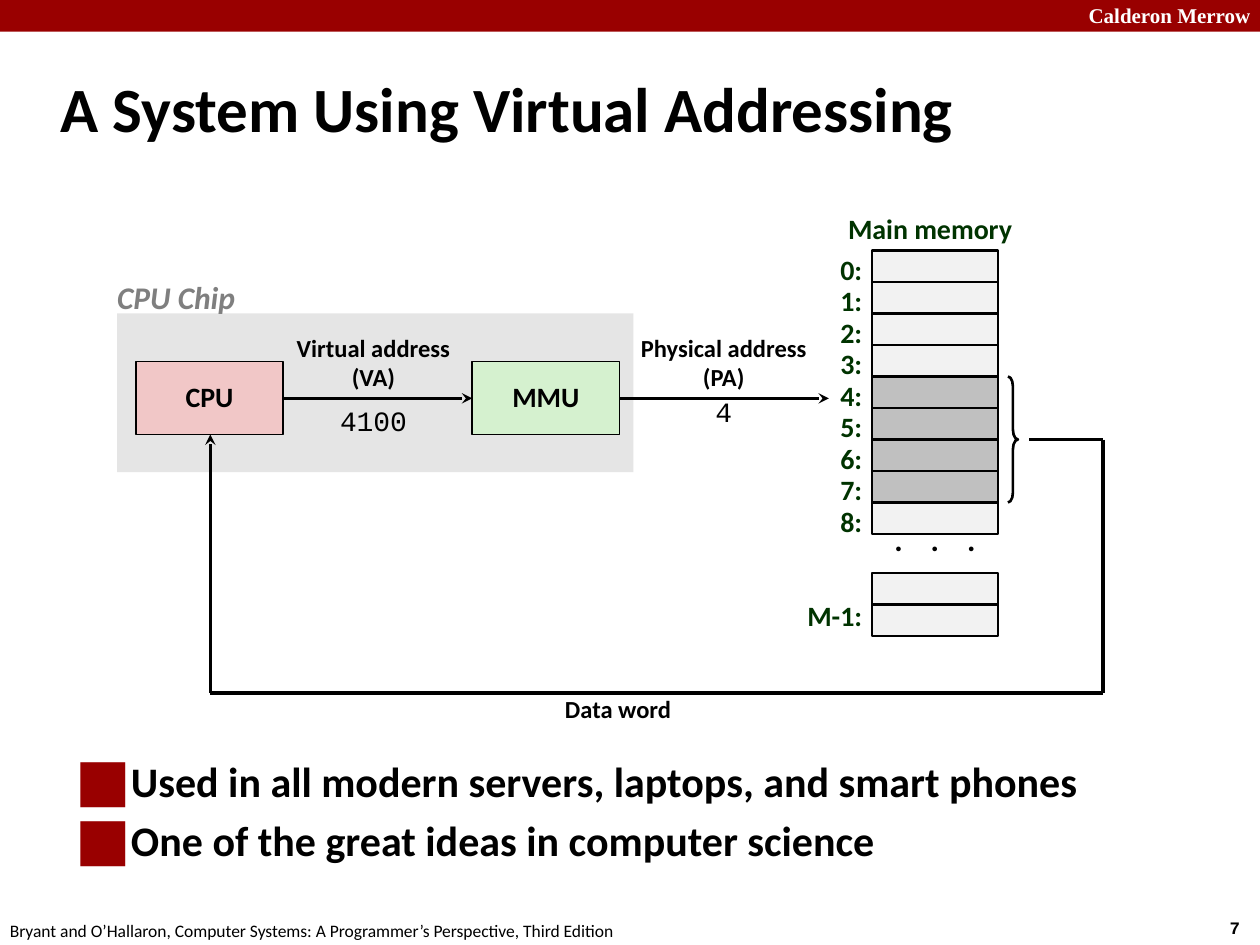
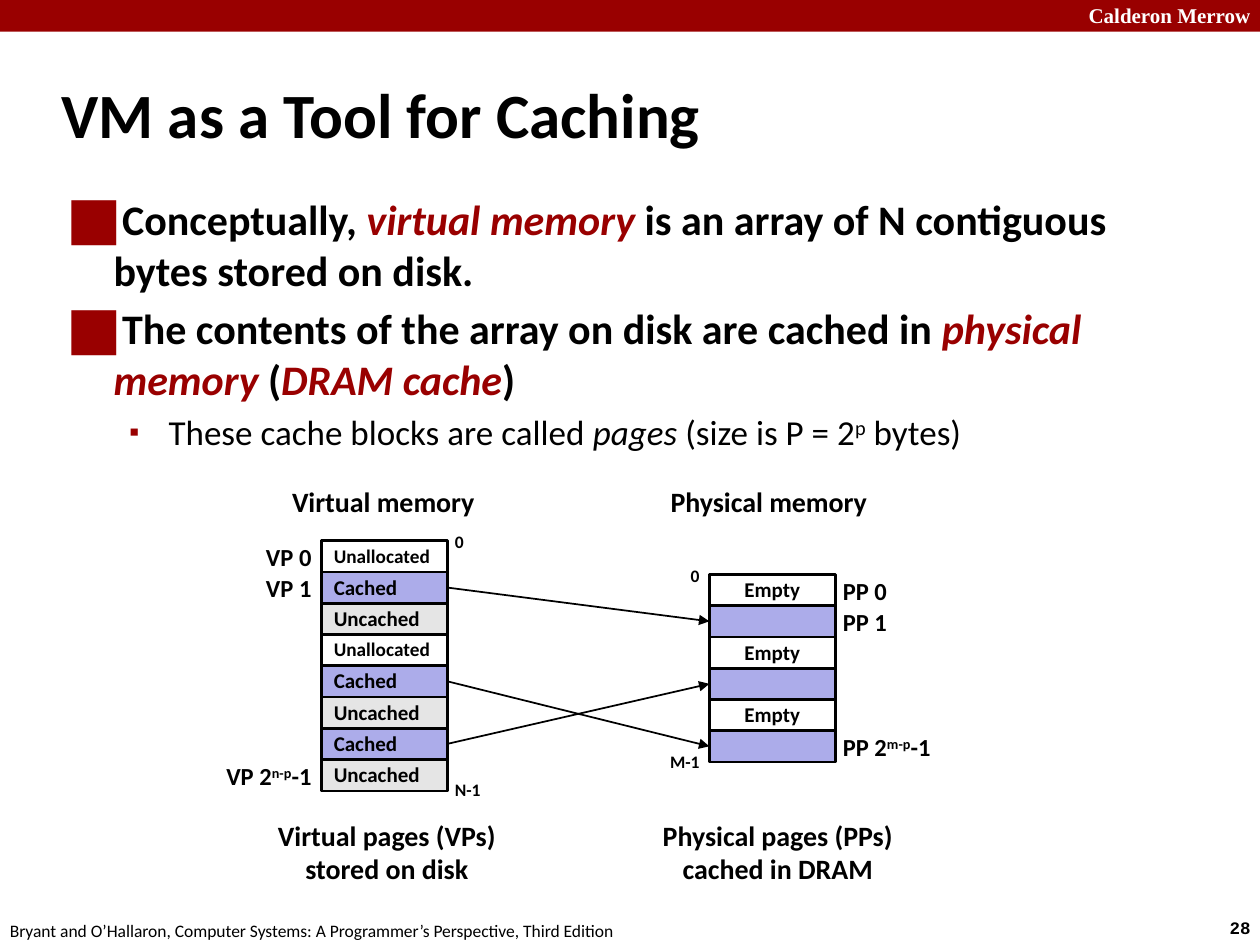
from lxml import etree
from pptx import Presentation
from pptx import util as u
from pptx.dml.color import RGBColor
from pptx.enum import shapes, text as t
from pptx.oxml.ns import qn

RED, BLACK, WHITE, GREEN = "990000", "000000", "FFFFFF", "003300"
PALE, GREY, CHIP, LILAC = "F2F2F2", "C0C0C0", "E5E5E5", "ACACEA"
CELL_W = 2.54
ROW = CELL_W / 4
PAGE_PITCH = 0.63
LEFT, CENTER, RIGHT = t.PP_ALIGN.LEFT, t.PP_ALIGN.CENTER, t.PP_ALIGN.RIGHT
TOP, MIDDLE = t.MSO_ANCHOR.TOP, t.MSO_ANCHOR.MIDDLE
TERM = {"italic": True, "color": RED}


def rgb(color):
    return RGBColor.from_string(color)


def cm(*lengths):
    return [u.Cm(n) for n in lengths]


def write(tf, paras, size=16, bold=True, italic=False, color=BLACK, font="Calibri",
          align=CENTER, anchor=MIDDLE, spacing=0.98, track=None):
    """Each paragraph is a string or a list of (string, run format) pairs."""
    tf.word_wrap = True
    tf.vertical_anchor = anchor
    for i, para in enumerate(paras):
        p = tf.add_paragraph() if i else tf.paragraphs[0]
        p.alignment, p.line_spacing = align, spacing
        for words, own in [(para, {})] if isinstance(para, str) else para:
            r = p.add_run()
            r.text = words
            f = r.font
            f.name, f.size = font, u.Pt(own.get("size", size))
            f.bold, f.italic = own.get("bold", bold), own.get("italic", italic)
            f.color.rgb = rgb(own.get("color", color))
            if own.get("raised"):
                f._element.set("baseline", "30000")
            if track:
                f._element.set("spc", str(track * 100))


def text(s, box, *paras, **fmt):
    tb = s.shapes.add_textbox(*cm(*box))
    write(tb.text_frame, paras, **fmt)
    return tb.text_frame


def centred(s, cx, cy, *paras, **fmt):
    text(s, (cx - 3, cy - 0.8, 6, 1.6), *paras, **fmt)


def beside(s, x, cy, label, side, **fmt):
    """Label a column of cells that starts at x, on its left or right."""
    left = x - 2.95 if side == "left" else x + CELL_W - 0.1
    text(s, (left, cy - 0.4, 3, 0.8), label,
         align=RIGHT if side == "left" else LEFT, **fmt)


def block(s, box, fill=None, line=None, label=None, kind=shapes.MSO_SHAPE.RECTANGLE, **fmt):
    sp = s.shapes.add_shape(kind, *cm(*box))
    sp.shadow.inherit = False
    if fill:
        sp.fill.solid()
        sp.fill.fore_color.rgb = rgb(fill)
    else:
        sp.fill.background()
    if line:
        sp.line.color.rgb = rgb(BLACK)
        sp.line.width = u.Pt(line)
    else:
        sp.line.fill.background()
    if label:
        write(sp.text_frame, [label], **fmt)
    return sp


def wire(s, points, width, head):
    """Join the points with straight lines; the last one ends in an arrowhead."""
    for start, end in zip(points, points[1:]):
        c = s.shapes.add_connector(shapes.MSO_CONNECTOR.STRAIGHT, *cm(*start, *end))
        c.line.color.rgb = rgb(BLACK)
        c.line.width = u.Pt(width)
        if end == points[-1]:
            etree.SubElement(c.line._get_or_add_ln(), qn("a:tailEnd"), type=head)
        etree.SubElement(c._element.spPr, qn("a:effectLst"))


def bullet(p, char, percent, margin, hang, before=0):
    p.space_before = u.Pt(before)
    pPr = p._p.get_or_add_pPr()
    pPr.set("marL", str(u.Cm(margin)))
    pPr.set("indent", str(-u.Cm(hang)))
    clr = etree.SubElement(pPr, qn("a:buClr"))
    etree.SubElement(clr, qn("a:srgbClr"), val=RED)
    etree.SubElement(pPr, qn("a:buSzPct"), val=str(percent * 1000))
    etree.SubElement(pPr, qn("a:buFont"), typeface="Calibri")
    etree.SubElement(pPr, qn("a:buChar"), char=char)


def body(s, box, points, details=()):
    tf = text(s, box, *points, *details, size=24, align=LEFT, anchor=TOP, spacing=1.0)
    for i, p in enumerate(tf.paragraphs):
        if i < len(points):
            bullet(p, "■", 140, 0.95, 0.95, 4.8 if i else 0)
        else:
            bullet(p, "▪", 80, 2.06, 0.79, 4)


def framed_slide(prs, title, title_box, number):
    s = prs.slides.add_slide(prs.slide_layouts[6])
    block(s, (0, 0, 25.4, 0.64), RED)
    plain = {"anchor": TOP, "spacing": 1.0}
    text(s, (19.46, -0.08, 6, 0.76), "Calderon Merrow", size=12, color=WHITE,
         font="Times New Roman", align=RIGHT, **plain)
    text(s, (24.54, 18.36, 1.14, 0.69), str(number), size=10,
         font="Courier New", align=LEFT, **plain)
    text(s, (-0.05, 18.42, 13.5, 0.69),
         "Bryant and O’Hallaron, Computer Systems: A Programmer’s Perspective, Third Edition",
         size=10, bold=False, align=LEFT, **plain)
    text(s, title_box, title, size=36, align=LEFT, spacing=1.0)
    return s


def cpu_chip(s, x, y):
    block(s, (x, y, 10.41, 3.2), CHIP)
    text(s, (x - 0.25, y - 0.83, 4, 1.02), "CPU Chip", size=18, italic=True,
         color="7F7F7F", align=LEFT, anchor=TOP, spacing=1.0)
    for name, dx, fill in (("CPU", 0.38, "F1C7C7"), ("MMU", 7.16, "D5F1CF")):
        block(s, (x + dx, y + 0.97, 2.97, 1.47), fill, 1, name)


def main_memory(s, x, y):
    centred(s, x + 1.17, y - 0.43, "Main memory", color=GREEN)
    for i in range(9):
        top = y + i * ROW
        block(s, (x, top, CELL_W, ROW), GREY if 4 <= i < 8 else PALE, 1.5)
        beside(s, x, top + 0.4, f"{i}:", "left", color=GREEN)
    text(s, (x + 0.2, y + 5.34, 3.3, 1), "...", size=18, track=16,
         align=LEFT, anchor=TOP)
    last = y + 6.5
    for i in range(2):
        block(s, (x, last + i * ROW, CELL_W, ROW), PALE, 1.5)
    beside(s, x, last + 1.4 * ROW, "M-1:", "left", color=GREEN)
    brace = block(s, (x + 2.74, y + 4 * ROW, 0.2, 4 * ROW), line=1.5,
                  kind=shapes.MSO_SHAPE.RIGHT_BRACE)
    brace.adjustments[0], brace.adjustments[1] = 1, 0.5


def addressing_diagram(s, x, y):
    cpu_chip(s, x, y)
    main_memory(s, x + 15.22, y - 1.27)
    bus = y + 1.71
    wire(s, [(x + 3.35, bus), (x + 7.16, bus)], 2, "stealth")
    wire(s, [(x + 10.13, bus), (x + 14.35, bus)], 2, "stealth")
    word, low, right, cpu = y + 2.54, y + 7.65, x + 19.87, x + 1.88
    wire(s, [(x + 18.39, word), (right, word), (right, low), (cpu, low), (cpu, y + 2.44)],
         2, "stealth")
    for kind, short, dx, value, dy in (("Virtual", "(VA)", 5.17, "4100", 2.15),
                                       ("Physical", "(PA)", 12.23, "4", 1.97)):
        centred(s, x + dx, y + 1.01, f"{kind} address", short, size=14)
        centred(s, x + dx, y + dy, value, bold=False, font="Courier New", spacing=1.0)
    centred(s, x + 10.1, y + 7.99, "Data word", size=14)


def page_column(s, x, y, cells, cell_align, labels, label_side, last_address):
    """Stack of pages, with labels on one side and end addresses on the other."""
    fills = {"Unallocated": WHITE, "Empty": WHITE, "Uncached": CHIP}
    for i, state in enumerate(cells):
        block(s, (x, y + i * PAGE_PITCH, CELL_W, ROW), fills.get(state, LILAC), 1.5, state,
              size=11 if state == "Unallocated" else 12, align=cell_align)
    for i, label in labels.items():
        beside(s, x, y + i * PAGE_PITCH + 0.35, label, label_side, size=14)
    other_side = "right" if label_side == "left" else "left"
    beside(s, x, y + 0.04, "0", other_side, size=10)
    beside(s, x, y + len(cells) * PAGE_PITCH, last_address, other_side, size=10)


def caching_diagram(s, x, y):
    vx, vy, px, py = x, y + 1.17, x + 7.82, y + 1.85

    def page_name(kind, power):
        return [(f"{kind} 2", {}), (power, {"raised": True}), ("-1", {})]

    page_column(s, vx, vy, ["Unallocated", "Cached", "Uncached"] + ["Unallocated"]
                + ["Cached", "Uncached"] * 2, LEFT,
                {0: "VP 0", 1: "VP 1", 7: page_name("VP", "n-p")}, "left", "N-1")
    page_column(s, px, py, ["Empty", None] * 3, CENTER,
                {0: "PP 0", 1: "PP 1", 5: page_name("PP", "m-p")}, "right", "M-1")
    for virtual, physical in ((1, 1), (4, 5), (6, 3)):
        wire(s, [(vx + CELL_W, vy + (virtual + 0.5) * PAGE_PITCH),
                 (px, py + (physical + 0.5) * PAGE_PITCH)], 1, "triangle")
    for kind, cx, pages, place, shift in (
            ("Virtual", vx + 1.25, "Virtual pages (VPs)", "stored on disk", 0.07),
            ("Physical", px + 1.2, "Physical pages (PPs)", "cached in DRAM", 0.18)):
        centred(s, cx, y + 0.4, f"{kind} memory")
        centred(s, cx + shift, y + 7.47, pages, place)


def main():
    prs = Presentation()
    prs.slide_width, prs.slide_height = cm(25.4, 19.05)

    s = framed_slide(prs, "A System Using Virtual Addressing", (0.97, 1.07, 24.21, 2.18), 7)
    addressing_diagram(s, 2.36, 6.32)
    body(s, (1.27, 15.11, 23.09, 3.51),
         ["Used in all modern servers, laptops, and smart phones",
          "One of the great ideas in computer science"])

    s = framed_slide(prs, "VM as a Tool for Caching", (0.99, 1.22, 21.08, 2.11), 28)
    small = {"size": 20, "bold": False}
    body(s, (1.09, 3.78, 21.95, 5.74),
         [[("Conceptually,", {}), (" virtual memory ", TERM),
           ("is an array of N contiguous bytes stored on disk.", {})],
          [("The contents of the array on disk are cached in ", {}),
           ("physical memory", TERM), (" (", {}), ("DRAM cache", TERM), (")", {})]],
         [[("These cache blocks are called ", small), ("pages ", {**small, "italic": True}),
           ("(size is P = 2", small), ("p", {**small, "raised": True}), (" bytes)", small)]])
    caching_diagram(s, 6.48, 9.73)

    prs.save("out.pptx")


if __name__ == "__main__":
    main()
